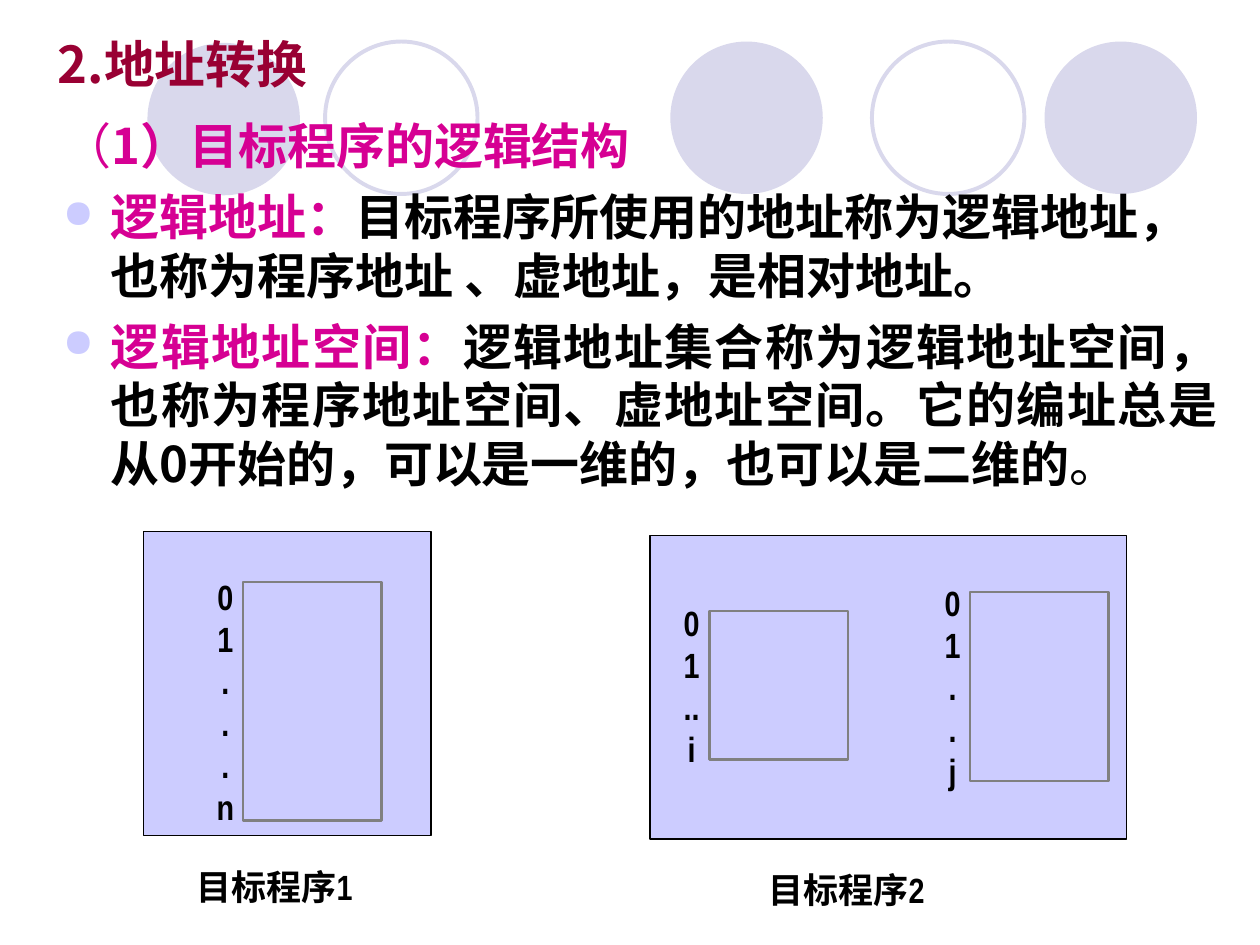
from lxml.etree import SubElement
from pptx import Presentation
from pptx.dml.color import RGBColor
from pptx.enum.shapes import MSO_SHAPE as Shape
from pptx.enum.text import MSO_ANCHOR as Anchor, PP_ALIGN as Align
from pptx.oxml.ns import qn
from pptx.util import Inches, Pt

THEME = {
    "circle": "D9D8EC", "panel": "CCCCFF", "frame": "808080", "ink": "000000",
    "title": "990033", "accent": "D60093",
    "cjk": "Noto Sans CJK SC", "narrow": "Arial Narrow",
    "title_size": 29, "body_size": 28, "label_size": 20,
}

# left, top, filled
CIRCLES = [(5.32, 0.33, True), (8.29, 0.33, True), (1.17, 0.34, True),
           (6.92, 0.33, False), (2.58, 0.33, False)]
CIRCLE_SIZE = 1.21

TITLE = "2.地址转换"
# bulleted, alignment, runs of (text, colour, bold)
BODY = [
    (False, Align.LEFT, [("（", "accent", False), ("1）目标程序的逻辑结构", "accent", True)]),
    (True, Align.LEFT, [
        ("逻辑地址：", "accent", True),
        ("目标程序所使用的地址称为逻辑地址，也称为程序地址 、虚地址，是相对地址。", "ink", True)]),
    (True, Align.JUSTIFY, [
        ("逻辑地址空间：", "accent", True),
        ("逻辑地址集合称为逻辑地址空间，也称为程序地址空间、虚地址空间。"
         "它的编址总是从0开始的，可以是一维的，也可以是二维的", "ink", True),
        ("。", "ink", False)]),
]

# panel box, caption with its left and top, segments of (left, top, height, addresses)
PROGRAMS = [
    {"panel": (1.14, 4.22, 2.28, 2.41), "caption": ("目标程序1", 1.46, 6.82),
     "segments": [(1.93, 4.62, 1.89, ["0", "1", ".", ".", ".", "n"])]},
    {"panel": (5.16, 4.25, 3.78, 2.41), "caption": ("目标程序2", 6, 6.84),
     "segments": [(5.63, 4.85, 1.18, ["0", "1", "..", "i"]),
                  (7.7, 4.7, 1.5, ["0", "1", ".", ".", "j"])]},
]
SEGMENT_WIDTH, LABEL_WIDTH, LABEL_OFFSET = 1.1, 0.66, 0.47


def color(name):
    return RGBColor.from_string(THEME[name])


def add_outline(page, kind, box, fill=None, line=None, weight=0.75):
    shape = page.shapes.add_shape(kind, *map(Inches, box))
    shape.shadow.inherit = False
    for part, name in ((shape.fill, fill), (shape.line.fill, line)):
        if name:
            part.solid()
            part.fore_color.rgb = color(name)
        else:
            part.background()
    if line:
        shape.line.width = Pt(weight)


def add_frame(page, box, anchor=Anchor.TOP, wrap=True):
    frame = page.shapes.add_textbox(*map(Inches, box)).text_frame
    frame.word_wrap = wrap
    frame.vertical_anchor = anchor
    return frame


def add_paragraph(frame, index, **formats):
    para = frame.add_paragraph() if index else frame.paragraphs[0]
    for name, value in formats.items():
        setattr(para, name, value)
    return para


def add_span(para, text, size, ink, font="cjk", bold=True):
    span = para.add_run()
    span.text = text
    formats = {"size": Pt(THEME[size]), "bold": bold, "name": THEME[font]}
    for name, value in formats.items():
        setattr(span.font, name, value)
    span.font.color.rgb = color(ink)
    SubElement(span.font._element, qn("a:ea"), typeface=THEME["cjk"])


def set_hanging(para, bulleted):
    properties = para._p.get_or_add_pPr()
    properties.set("marL", str(Inches(0.38)))
    properties.set("indent", str(-Inches(0.38)))
    if bulleted:
        bullet_color = SubElement(properties, qn("a:buClr"))
        SubElement(bullet_color, qn("a:srgbClr"), val=THEME["panel"])
        SubElement(properties, qn("a:buSzPct"), val="80000")
        SubElement(properties, qn("a:buChar"), char="●")


def add_texts(page):
    title = add_frame(page, (0.36, 0.17, 9.44, 0.67), Anchor.MIDDLE)
    add_span(title.paragraphs[0], TITLE, "title_size", "title")
    body = add_frame(page, (0.4, 0.87, 9.36, 3.2))
    for index, (bulleted, alignment, runs) in enumerate(BODY):
        para = add_paragraph(body, index, alignment=alignment, line_spacing=Pt(33.5),
                             space_before=Pt(7 if index else 0))
        set_hanging(para, bulleted)
        for text, ink, bold in runs:
            add_span(para, text, "body_size", ink, bold=bold)


def add_program(page, program):
    add_outline(page, Shape.RECTANGLE, program["panel"], "panel", "ink")
    for left, top, height, addresses in program["segments"]:
        add_outline(page, Shape.RECTANGLE, (left, top, SEGMENT_WIDTH, height),
                    line="frame", weight=1.5)
        labels = add_frame(page, (left - LABEL_OFFSET, top, LABEL_WIDTH, height),
                           Anchor.MIDDLE, wrap=False)
        for index, address in enumerate(addresses):
            para = add_paragraph(labels, index, alignment=Align.CENTER)
            add_span(para, address, "label_size", "ink", "narrow")
    text, left, top = program["caption"]
    caption = add_frame(page, (left, top, 1.89, 0.44))
    para = add_paragraph(caption, 0, line_spacing=Pt(24))
    add_span(para, text, "label_size", "ink", "narrow")


def main():
    deck = Presentation()
    deck.slide_width, deck.slide_height = Inches(10), Inches(7.5)
    page = deck.slides.add_slide(deck.slide_layouts[6])
    for left, top, filled in CIRCLES:
        paint = {"fill": "circle"} if filled else {"line": "circle", "weight": 2.25}
        add_outline(page, Shape.OVAL, (left, top, CIRCLE_SIZE, CIRCLE_SIZE), **paint)
    add_texts(page)
    for program in PROGRAMS:
        add_program(page, program)
    deck.save("out.pptx")


if __name__ == "__main__":
    main()
